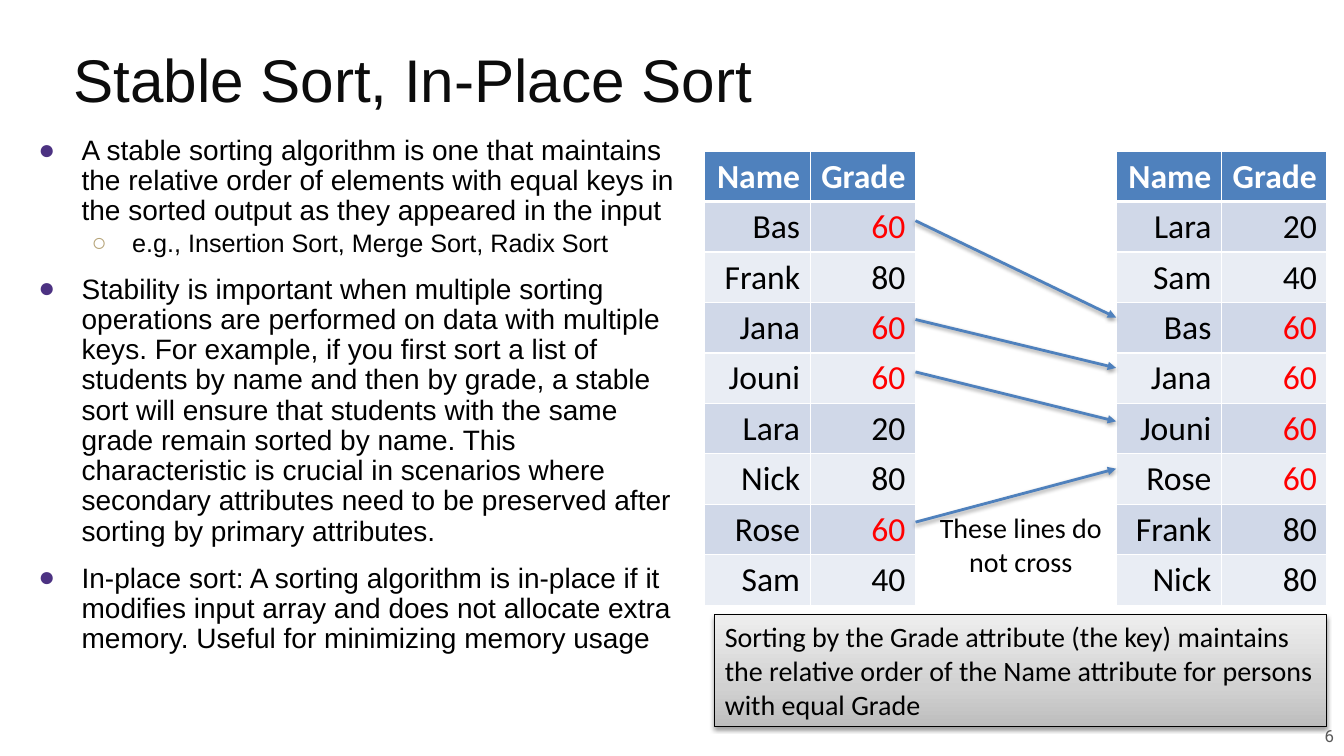
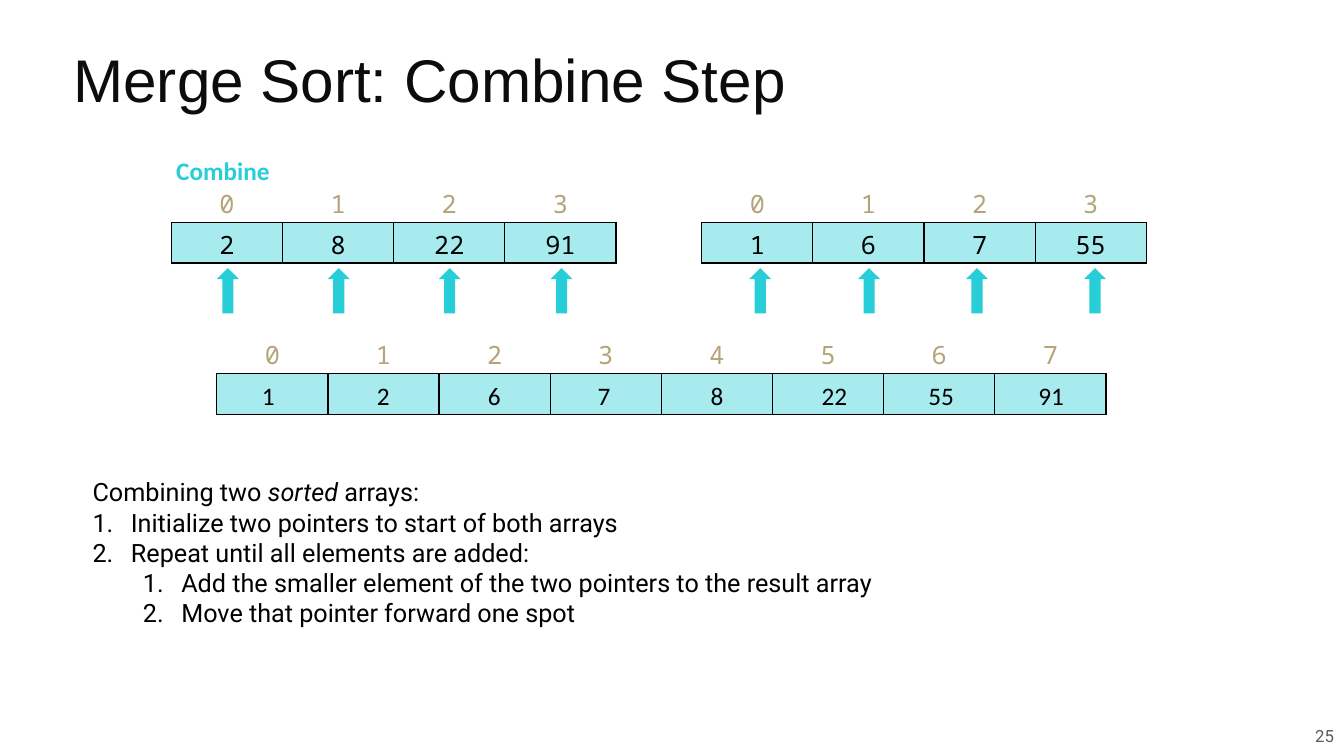
from pptx import Presentation
from pptx.dml.color import RGBColor
from pptx.enum.shapes import MSO_CONNECTOR as CONN, MSO_SHAPE as SHAPE
from pptx.enum.text import MSO_ANCHOR as ANCHOR, PP_ALIGN as ALIGN
from pptx.oxml import parse_xml
from pptx.oxml.ns import nsdecls, qn
from pptx.util import Inches, Pt

BLACK = RGBColor(0x00, 0x00, 0x00)
WHITE = RGBColor(0xFF, 0xFF, 0xFF)
TITLE = RGBColor(0x0C, 0x0C, 0x0C)
GRAY = RGBColor(0x59, 0x59, 0x59)
BLUE = RGBColor(0x4F, 0x81, 0xBD)
BAND_DARK = RGBColor(0xD0, 0xD8, 0xE8)
BAND_LIGHT = RGBColor(0xE9, 0xED, 0xF4)
RED = RGBColor(0xFF, 0x00, 0x00)
PURPLE = RGBColor(0x4C, 0x32, 0x82)
TAN = RGBColor(0xB6, 0xA4, 0x79)
CYAN = RGBColor(0x27, 0xCE, 0xD7)
PALE_CYAN = RGBColor(0xA7, 0xEB, 0xEF)

CALIBRI = dict(name="Calibri", size=20, color=BLACK)
LABEL = dict(CALIBRI, size=18)
GRADE = dict(CALIBRI, size=24)
MONO = dict(name="Noto Sans Mono", size=18, color=BLACK)

# Paragraph styles: indents in inches, spacing in points
POINT = dict(left=0.5, hang=0.43, bullet="●", bullet_color=PURPLE, before=12, spacing=0.9, size=20)
EXAMPLE = dict(left=1, hang=0.4, bullet="○", bullet_color=TAN, before=3, spacing=0.9, size=18)
PLAIN = {}
STEP = dict(left=0.38, hang=0.38, bullet_color=BLACK)
SUBSTEP = dict(STEP, left=0.88, level=1)


def element(tag, content="", **attrs):
    listed = " ".join(f'{k}="{v}"' for k, v in attrs.items())
    return parse_xml(f'<a:{tag} {nsdecls("a")} {listed}>{content}</a:{tag}>')


def solid(color):
    return f'<a:solidFill><a:srgbClr val="{color}"/></a:solidFill>'


def drop_shadow(shape):
    spPr = shape._element.spPr
    for old in spPr.findall(qn("a:effectLst")):
        spPr.remove(old)
    spPr.append(element(
        "effectLst",
        '<a:outerShdw blurRad="40000" dist="20000" dir="5400000" rotWithShape="0">'
        '<a:srgbClr val="000000"><a:alpha val="38000"/></a:srgbClr></a:outerShdw>'))


class Deck:
    """Shared style and the slide being filled."""

    def __init__(self):
        self.prs = Presentation()
        self.prs.slide_width, self.prs.slide_height = Inches(13.33), Inches(7.5)
        self.s = None

    def slide(self, title, number):
        self.s = self.prs.slides.add_slide(self.prs.slide_layouts[6])
        self.text((8.65, 7.1, 4.68, 0.4), number, dict(name="Roboto", size=12, color=GRAY),
                  align=ALIGN.RIGHT, anchor=ANCHOR.MIDDLE)
        self.text((0.63, 0.29, 12.23, 1.11), [(title, dict(spacing=0.8))],
                  dict(name="Arial", size=43, color=TITLE), anchor=ANCHOR.MIDDLE)

    def style_run(self, r, font):
        for key, value in font.items():
            if key == "color":
                r.font.color.rgb = value
            else:
                setattr(r.font, key, Pt(value) if key == "size" else value)

    def indent(self, p, style):
        pPr = p._p.get_or_add_pPr()
        pPr.set("marL", str(Inches(style["left"])))
        pPr.set("indent", str(-Inches(style["hang"])))
        pPr.append(element("buClr", f'<a:srgbClr val="{style["bullet_color"]}"/>'))
        if "bullet" in style:
            pPr.append(element("buFont", typeface="Arial"))
            pPr.append(element("buChar", char=style["bullet"]))
        else:
            pPr.append(element("buAutoNum", type="arabicPeriod"))

    def fill_text(self, tf, content, font, align=ALIGN.LEFT):
        """Content is a string or (string, style) pairs; *stars* mark italics."""
        pairs = [(content, PLAIN)] if isinstance(content, str) else content
        for i, (line, style) in enumerate(pairs):
            p = tf.add_paragraph() if i else tf.paragraphs[0]
            p.alignment = align
            p.level = style.get("level", 0)
            if "left" in style:
                self.indent(p, style)
            if "spacing" in style:
                p.line_spacing = style["spacing"]
            p.space_before = Pt(style.get("before", 0) if i else 0)
            for k, piece in enumerate(line.split("*")):
                r = p.add_run()
                r.text = piece
                self.style_run(r, dict(font, size=style.get("size", font["size"])))
                if k % 2:
                    r.font.italic = True

    def text(self, box, content, font, align=ALIGN.LEFT, anchor=ANCHOR.TOP, inset=0.1):
        tf = self.s.shapes.add_textbox(*map(Inches, box)).text_frame
        tf.word_wrap = True
        tf.vertical_anchor = anchor
        tf.margin_left = tf.margin_right = Inches(inset)
        self.fill_text(tf, content, font, align)

    def cell(self, c, content, font, fill, border, align, widths=(1, 1, 1, 1)):
        """Widths are the left, right, top and bottom borders in points."""
        tcPr = c._tc.get_or_add_tcPr()
        for side, width in zip("LRTB", widths):
            tcPr.append(element(f"ln{side}", solid(border), w=Pt(width)))
        c.fill.solid()
        c.fill.fore_color.rgb = fill
        c.vertical_anchor = ANCHOR.MIDDLE if align == ALIGN.CENTER else ANCHOR.TOP
        self.fill_text(c.text_frame, content, font, align)

    def table(self, box, rows, cols):
        t = self.s.shapes.add_table(rows, cols, *map(Inches, box)).table
        t.first_row = t.horz_banding = False
        return t

    def grades(self, left, students):
        t = self.table((left, 1.5, 2.09, 4.5), len(students) + 1, 2)
        for col, heading in enumerate(("Name", "Grade")):
            self.cell(t.cell(0, col), heading, dict(GRADE, color=WHITE, bold=True), BLUE,
                      WHITE, ALIGN.RIGHT, (1, 1, 1, 3))
        for row, student in enumerate(students, 1):
            for col, value in enumerate(student):
                font = dict(GRADE, color=RED if value == 60 else BLACK)
                self.cell(t.cell(row, col), str(value), font, BAND_DARK if row % 2 else BAND_LIGHT,
                          WHITE, ALIGN.RIGHT, (1, 1, 3 if row == 1 else 1, 1))

    def array(self, left, top, values):
        """Indices above a row of framed values."""
        n = len(values)
        t = self.table((left, top, 1.1025 * n, 0.81), 2, n)
        for i, value in enumerate(values):
            self.cell(t.cell(0, i), str(i), dict(MONO, color=TAN), WHITE, WHITE, ALIGN.CENTER)
            self.cell(t.cell(1, i), value, MONO, PALE_CYAN, BLACK, ALIGN.CENTER)

    def arrow(self, start, end):
        line = self.s.shapes.add_connector(CONN.STRAIGHT, *map(Inches, start + end))
        line.line.color.rgb = BLUE
        line.line.width = Pt(2)
        line.line._get_or_add_ln().append(element("tailEnd", type="triangle"))
        drop_shadow(line)

    def pointer(self, left):
        sp = self.s.shapes.add_shape(SHAPE.UP_ARROW, *map(Inches, (left, 2.66, 0.22, 0.45)))
        sp.shadow.inherit = False
        sp.fill.solid()
        sp.fill.fore_color.rgb = CYAN
        sp.line.fill.background()

    def note(self, box, content):
        """Framed note, darker towards the bottom."""
        sp = self.s.shapes.add_shape(SHAPE.RECTANGLE, *map(Inches, box))
        sp.fill.gradient()
        sp.fill.gradient_angle = 90
        stops = sp._element.spPr.find(".//" + qn("a:gsLst"))
        for old in list(stops):
            stops.remove(old)
        for pos, color in ((0, "BDBDBD"), (35, "D1D1D1"), (100, "EEEEEE")):
            stops.append(element("gs", f'<a:srgbClr val="{color}"/>', pos=pos * 1000))
        sp.line.color.rgb = BLACK
        sp.line.width = Pt(0.75)
        drop_shadow(sp)
        tf = sp.text_frame
        tf.word_wrap = True
        tf.vertical_anchor = ANCHOR.TOP
        self.fill_text(tf, content, CALIBRI)


def stable_sort(deck):
    deck.slide("Stable Sort, In-Place Sort", "6")
    deck.text((0.26, 1.3, 6.48, 5.49), [
        ("A stable sorting algorithm is one that maintains the relative order of elements with "
         "equal keys in the sorted output as they appeared in the input", POINT),
        ("e.g., Insertion Sort, Merge Sort, Radix Sort", EXAMPLE),
        ("Stability is important when multiple sorting operations are performed on data with "
         "multiple keys. For example, if you first sort a list of students by name and then by "
         "grade, a stable sort will ensure that students with the same grade remain sorted by "
         "name. This characteristic is crucial in scenarios where secondary attributes need to "
         "be preserved after sorting by primary attributes.", POINT),
        ("In-place sort: A sorting algorithm is in-place if it modifies input array and does not "
         "allocate extra memory. Useful for minimizing memory usage", POINT),
    ], dict(name="Arial", size=20, color=BLACK), inset=0.05)

    students = [("Bas", 60), ("Frank", 80), ("Jana", 60), ("Jouni", 60),
                ("Lara", 20), ("Nick", 80), ("Rose", 60), ("Sam", 40)]
    deck.grades(6.99, students)
    deck.grades(11.07, sorted(students, key=lambda student: student[1]))
    for start, end in ((2.19, 3.15), (3.17, 3.65), (3.69, 4.18), (5.18, 4.65)):
        deck.arrow((9.08, start), (11.07, end))
    deck.note((7.09, 6.1, 6.07, 1.11),
              "Sorting by the Grade attribute (the key) maintains the relative order of the Name "
              "attribute for persons with equal Grade")
    deck.text((9.08, 5.02, 2.09, 0.77), "These lines do not cross", CALIBRI, ALIGN.CENTER)


def combine_step(deck):
    deck.slide("Merge Sort: Combine Step", "25")
    deck.array(1.7, 1.8, ["2", "8", "22", "91"])
    deck.array(6.96, 1.8, ["1", "6", "7", "55"])
    deck.text((1.65, 1.49, 1.13, 0.4), "Combine", dict(LABEL, color=CYAN, bold=True))
    deck.array(2.15, 3.3, [""] * 8)
    for left in (2.15, 3.25, 4.35, 5.46, 7.43, 8.51, 9.58, 10.75):
        deck.pointer(left)
    merged = {"1": 2.5, "2": 3.64, "6": 4.74, "7": 5.83,
              "8": 6.95, "22": 8.05, "55": 9.11, "91": 10.2}
    for value, left in merged.items():
        deck.text((left, 3.72, 0.2 + 0.13 * len(value), 0.4), value, LABEL)
    deck.text((0.82, 4.68, 11.47, 1.62), [
        ("Combining two *sorted* arrays:", PLAIN),
        ("Initialize two pointers to start of both arrays", STEP),
        ("Repeat until all elements are added:", STEP),
        ("Add the smaller element of the two pointers to the result array", SUBSTEP),
        ("Move that pointer forward one spot", SUBSTEP),
    ], dict(name="Roboto", size=18, color=BLACK))


def main():
    deck = Deck()
    stable_sort(deck)
    combine_step(deck)
    deck.prs.save("out.pptx")


if __name__ == "__main__":
    main()
